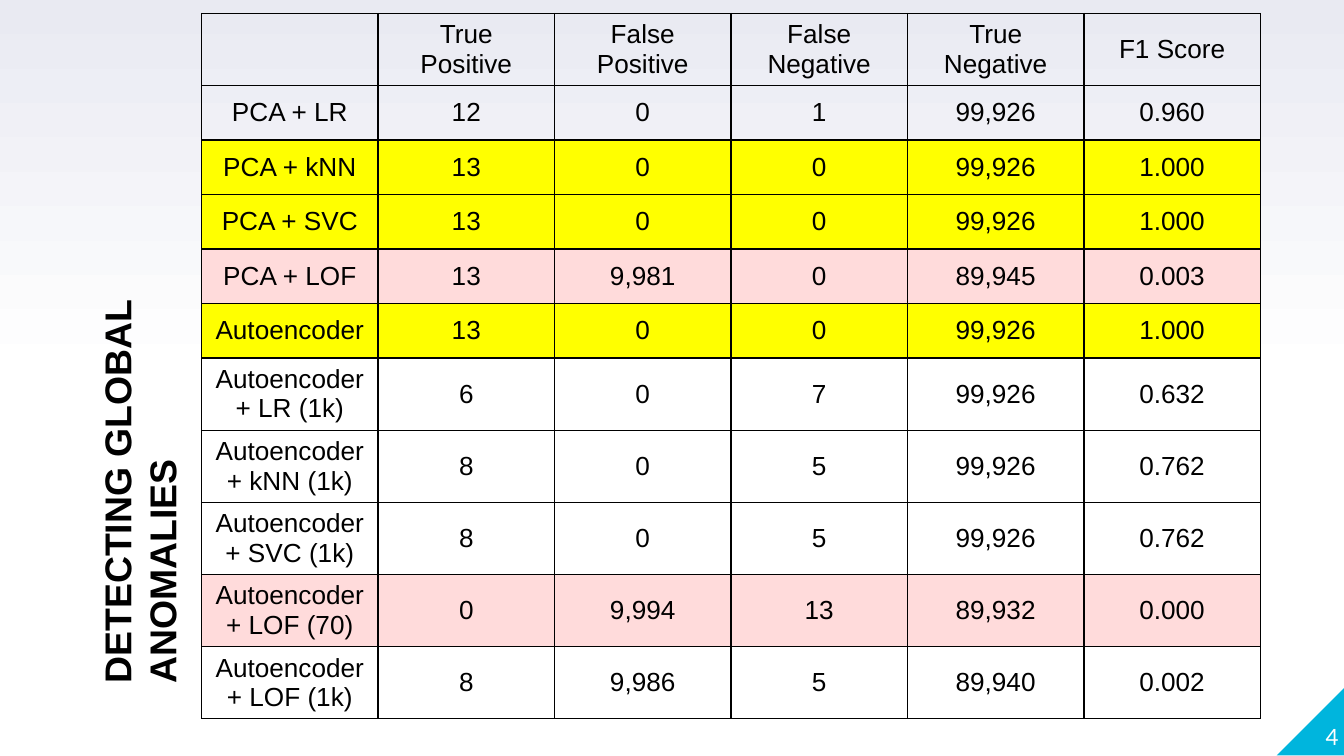
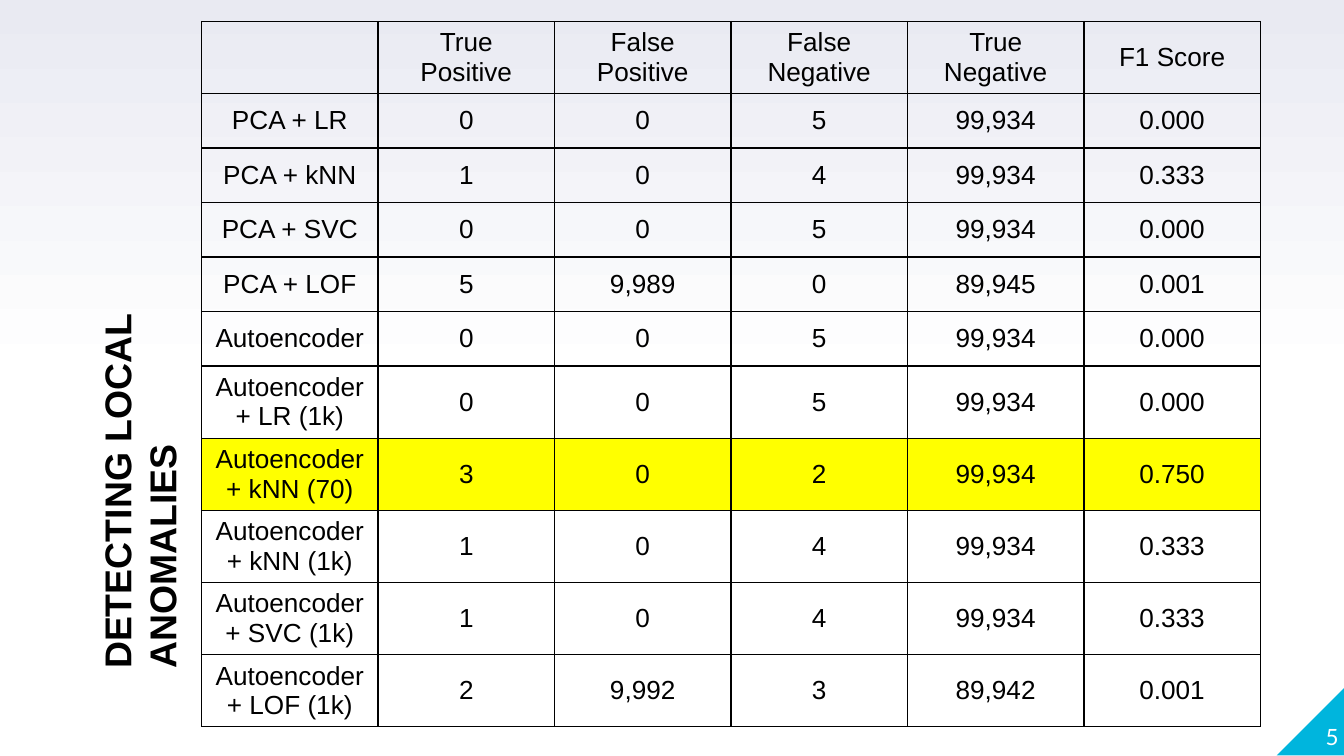
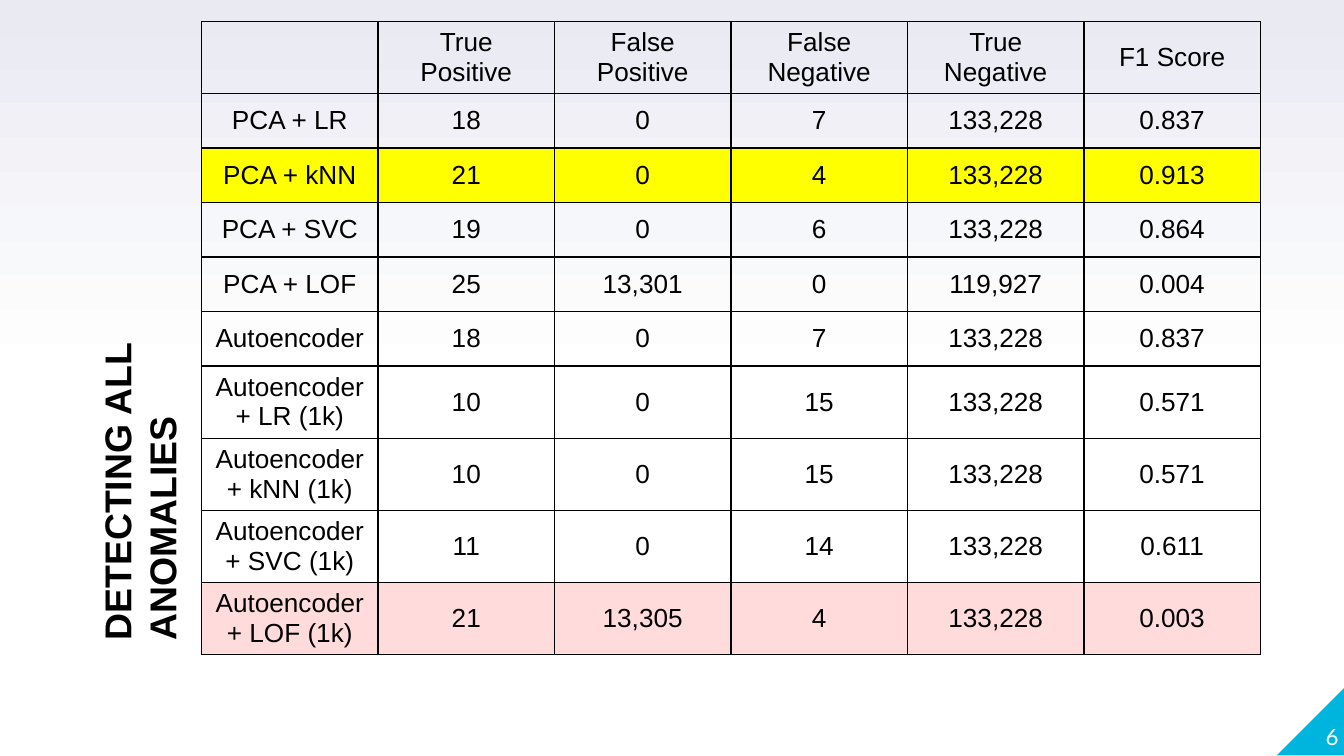
from copy import deepcopy
from dataclasses import dataclass

from lxml import etree
from pptx import Presentation, util as u
from pptx.dml.color import RGBColor
from pptx.enum import shapes, text
from pptx.oxml import ns

HEAD = ("", "True Positive", "False Positive", "False Negative",
        "True Negative", "F1 Score")

PAGES = [
    {
        "title": "DETECTING GLOBAL ANOMALIES", "length": 4.75, "top": 0.1,
        "best": {"PCA + kNN", "PCA + SVC", "Autoencoder"},
        "worst": {"PCA + LOF", "Autoencoder + LOF (70)"},
        "rows": [
            ("PCA + LR", "12", "0", "1", "99,926", "0.960"),
            ("PCA + kNN", "13", "0", "0", "99,926", "1.000"),
            ("PCA + SVC", "13", "0", "0", "99,926", "1.000"),
            ("PCA + LOF", "13", "9,981", "0", "89,945", "0.003"),
            ("Autoencoder", "13", "0", "0", "99,926", "1.000"),
            ("Autoencoder + LR (1k)", "6", "0", "7", "99,926", "0.632"),
            ("Autoencoder + kNN (1k)", "8", "0", "5", "99,926", "0.762"),
            ("Autoencoder + SVC (1k)", "8", "0", "5", "99,926", "0.762"),
            ("Autoencoder + LOF (70)", "0", "9,994", "13", "89,932", "0.000"),
            ("Autoencoder + LOF (1k)", "8", "9,986", "5", "89,940", "0.002"),
        ],
    },
    {
        "title": "DETECTING LOCAL ANOMALIES", "length": 4.53, "top": 0.16,
        "best": {"Autoencoder + kNN (70)"},
        "worst": set(),
        "rows": [
            ("PCA + LR", "0", "0", "5", "99,934", "0.000"),
            ("PCA + kNN", "1", "0", "4", "99,934", "0.333"),
            ("PCA + SVC", "0", "0", "5", "99,934", "0.000"),
            ("PCA + LOF", "5", "9,989", "0", "89,945", "0.001"),
            ("Autoencoder", "0", "0", "5", "99,934", "0.000"),
            ("Autoencoder + LR (1k)", "0", "0", "5", "99,934", "0.000"),
            ("Autoencoder + kNN (70)", "3", "0", "2", "99,934", "0.750"),
            ("Autoencoder + kNN (1k)", "1", "0", "4", "99,934", "0.333"),
            ("Autoencoder + SVC (1k)", "1", "0", "4", "99,934", "0.333"),
            ("Autoencoder + LOF (1k)", "2", "9,992", "3", "89,942", "0.001"),
        ],
    },
    {
        "title": "DETECTING ALL ANOMALIES", "length": 4.11, "top": 0.16,
        "best": {"PCA + kNN"},
        "worst": {"Autoencoder + LOF (1k)"},
        "rows": [
            ("PCA + LR", "18", "0", "7", "133,228", "0.837"),
            ("PCA + kNN", "21", "0", "4", "133,228", "0.913"),
            ("PCA + SVC", "19", "0", "6", "133,228", "0.864"),
            ("PCA + LOF", "25", "13,301", "0", "119,927", "0.004"),
            ("Autoencoder", "18", "0", "7", "133,228", "0.837"),
            ("Autoencoder + LR (1k)", "10", "0", "15", "133,228", "0.571"),
            ("Autoencoder + kNN (1k)", "10", "0", "15", "133,228", "0.571"),
            ("Autoencoder + SVC (1k)", "11", "0", "14", "133,228", "0.611"),
            ("Autoencoder + LOF (1k)", "21", "13,305", "4", "133,228", "0.003"),
        ],
    },
]
FIRST = 4


@dataclass(frozen=True)
class Theme:
    ink: str = "000000"
    white: str = "FFFFFF"
    haze: str = "E9EAF2"
    accent: str = "00B5DD"
    best: str = "FFFF00"
    worst: str = "FFDBDB"
    font: str = "Arial"
    page_font: str = "Lato"
    title: int = 20
    cell: int = 14
    page: int = 12
    rule: float = 0.75


T = Theme()
WIDE = u.Inches(10)
HIGH = WIDE * 9 // 16
rgb = RGBColor.from_string


def style(frame, font, size, color, align, bold=False):
    for para in frame.paragraphs:
        para.alignment = align
        for run in para.runs:
            run.font.name = font
            run.font.size = u.Pt(size)
            run.font.bold = bold
            run.font.color.rgb = rgb(color)


def set_back(master):
    fill = master.background.fill
    fill.gradient()
    fill.gradient_angle = 90
    for stop, place, color in zip(fill.gradient_stops, (0, 1), (T.white, T.haze)):
        stop.position = place
        stop.color.rgb = rgb(color)
    start = master.element.xpath(".//p:bg//a:gs")[0]
    middle = deepcopy(start)
    middle.set("pos", "50000")
    start.addnext(middle)


def add_corner(slide):
    side = u.Inches(0.51)
    corner = slide.shapes.add_shape(
        shapes.MSO_SHAPE.RIGHT_TRIANGLE, u.Inches(9.5), u.Inches(5.11), side, side)
    corner.shadow.inherit = False
    corner.fill.solid()
    corner.fill.fore_color.rgb = rgb(T.accent)
    corner.line.fill.background()
    corner.element.spPr.xfrm.set("flipH", "1")
    slide.slide_layout.shapes.element.append(corner.element)


def add_title(slide, words, length):
    title = slide.shapes.title
    title.width, title.height = u.Inches(length), u.Inches(0.54)
    title.left = u.Inches(0.89) - title.width // 2
    title.top = (HIGH - title.height) // 2
    title.rotation = 270
    frame = title.text_frame
    frame.text = words
    frame.word_wrap = False
    frame.auto_size = text.MSO_AUTO_SIZE.NONE
    frame.vertical_anchor = text.MSO_ANCHOR.TOP
    frame.margin_top = u.Inches(0.08)
    style(frame, T.font, T.title, T.ink, text.PP_ALIGN.LEFT, True)


def add_number(slide, number):
    box = slide.shapes.add_textbox(
        u.Inches(9.46), u.Inches(5.07), u.Inches(0.5), u.Inches(0.51))
    frame = box.text_frame
    frame.text = str(number)
    frame.word_wrap = True
    frame.vertical_anchor = text.MSO_ANCHOR.BOTTOM
    frame.margin_left = frame.margin_right = 0
    frame.margin_top = frame.margin_bottom = 0
    style(frame, T.page_font, T.page, T.white, text.PP_ALIGN.RIGHT)


def add_borders(cell):
    props = cell._tc.get_or_add_tcPr()
    for side in "LRTB":
        line = etree.SubElement(props, ns.qn(f"a:ln{side}"), w=str(u.Pt(T.rule)))
        fill = etree.SubElement(line, ns.qn("a:solidFill"))
        etree.SubElement(fill, ns.qn("a:srgbClr"), val=T.ink)


def add_scores(slide, page):
    rows = [HEAD] + page["rows"]
    line = u.Pt(29.2)
    grid = slide.shapes.add_table(
        len(rows), len(HEAD), u.Inches(1.5), u.Inches(page["top"]),
        u.Inches(7.88), line * len(rows)).table
    grid.first_row = grid.horz_banding = False
    for r, row in enumerate(rows):
        grid.rows[r].height = line
        tint = next((getattr(T, k) for k in ("best", "worst") if row[0] in page[k]), None)
        for c, words in enumerate(row):
            cell = grid.cell(r, c)
            cell.text_frame.text = words
            cell.vertical_anchor = text.MSO_ANCHOR.MIDDLE
            cell.margin_top = cell.margin_bottom = u.Pt(2.5)
            style(cell.text_frame, T.font, T.cell, T.ink, text.PP_ALIGN.CENTER)
            add_borders(cell)
            if tint:
                cell.fill.solid()
                cell.fill.fore_color.rgb = rgb(tint)
            else:
                cell.fill.background()


def main():
    deck = Presentation()
    deck.slide_width, deck.slide_height = WIDE, HIGH
    set_back(deck.slide_master)
    layout = deck.slide_layouts.get_by_name("Title Only")
    for number, page in enumerate(PAGES, FIRST):
        slide = deck.slides.add_slide(layout)
        if number == FIRST:
            add_corner(slide)
        add_number(slide, number)
        add_title(slide, page["title"], page["length"])
        add_scores(slide, page)
    deck.save("out.pptx")


if __name__ == "__main__":
    main()
